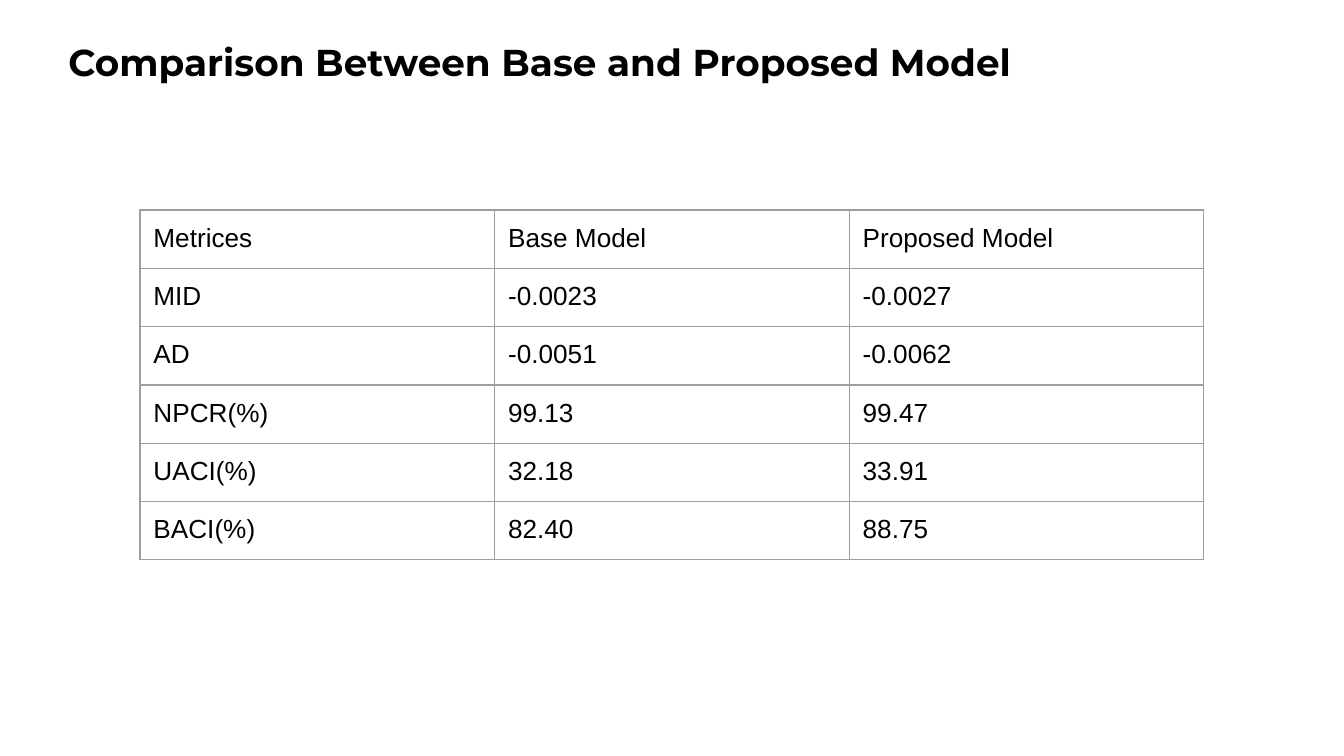
from lxml.etree import SubElement
from pptx import Presentation
from pptx.dml.color import RGBColor
from pptx.oxml.ns import qn
from pptx.util import Pt

TITLE = "Comparison Between Base and Proposed Model"
METRICS = [
    ("Metrices", "Base Model", "Proposed Model"),
    ("MID", "-0.0023", "-0.0027"),
    ("AD", "-0.0051", "-0.0062"),
    ("NPCR(%)", "99.13", "99.47"),
    ("UACI(%)", "32.18", "33.91"),
    ("BACI(%)", "82.40", "88.75"),
]

BLACK = RGBColor(0x00, 0x00, 0x00)
GREY = RGBColor(0x9E, 0x9E, 0x9E)
TITLE_FONT = {"name": "Montserrat", "size": Pt(20), "bold": True}
CELL_FONT = {"name": "Arial", "size": Pt(14), "bold": False}
INSET = Pt(7.2)
MARGINS = {f"margin_{side}": INSET for side in ("left", "top", "right", "bottom")}
COLUMN_WIDTH, ROW_HEIGHT = Pt(190), Pt(30.2)
BORDER_WIDTH = Pt(0.75)


def set_attributes(target, values):
    for name, value in values.items():
        setattr(target, name, value)


def write(text_frame, text, font_values):
    paragraph = text_frame.paragraphs[0]
    run = paragraph.add_run()
    run.text = text
    set_attributes(run.font, font_values)
    run.font.color.rgb = BLACK


def add_borders(cell):
    properties = cell._tc.get_or_add_tcPr()
    for side in ("L", "R", "T", "B"):
        line = SubElement(properties, qn(f"a:ln{side}"), w=str(BORDER_WIDTH))
        fill = SubElement(line, qn("a:solidFill"))
        SubElement(fill, qn("a:srgbClr"), val=str(GREY))


def add_title(slide):
    text_frame = slide.shapes.add_textbox(Pt(29.5), Pt(13.7), Pt(654), Pt(46)).text_frame
    set_attributes(text_frame, {"word_wrap": True, **MARGINS})
    write(text_frame, TITLE, TITLE_FONT)


def add_metrics_table(slide):
    row_count, column_count = len(METRICS), len(METRICS[0])
    table = slide.shapes.add_table(
        row_count, column_count, Pt(75), Pt(112.5),
        COLUMN_WIDTH * column_count, ROW_HEIGHT * row_count,
    ).table
    set_attributes(table, {"first_row": False, "horz_banding": False})
    for column in table.columns:
        column.width = COLUMN_WIDTH
    for row, values in zip(table.rows, METRICS):
        row.height = ROW_HEIGHT
        for cell, value in zip(row.cells, values):
            set_attributes(cell, MARGINS)
            add_borders(cell)
            cell.fill.background()
            write(cell.text_frame, value, CELL_FONT)


def main():
    presentation = Presentation()
    set_attributes(presentation, {"slide_width": Pt(720), "slide_height": Pt(405)})
    slide = presentation.slides.add_slide(presentation.slide_layouts[6])
    add_title(slide)
    add_metrics_table(slide)
    presentation.save("out.pptx")


if __name__ == "__main__":
    main()
